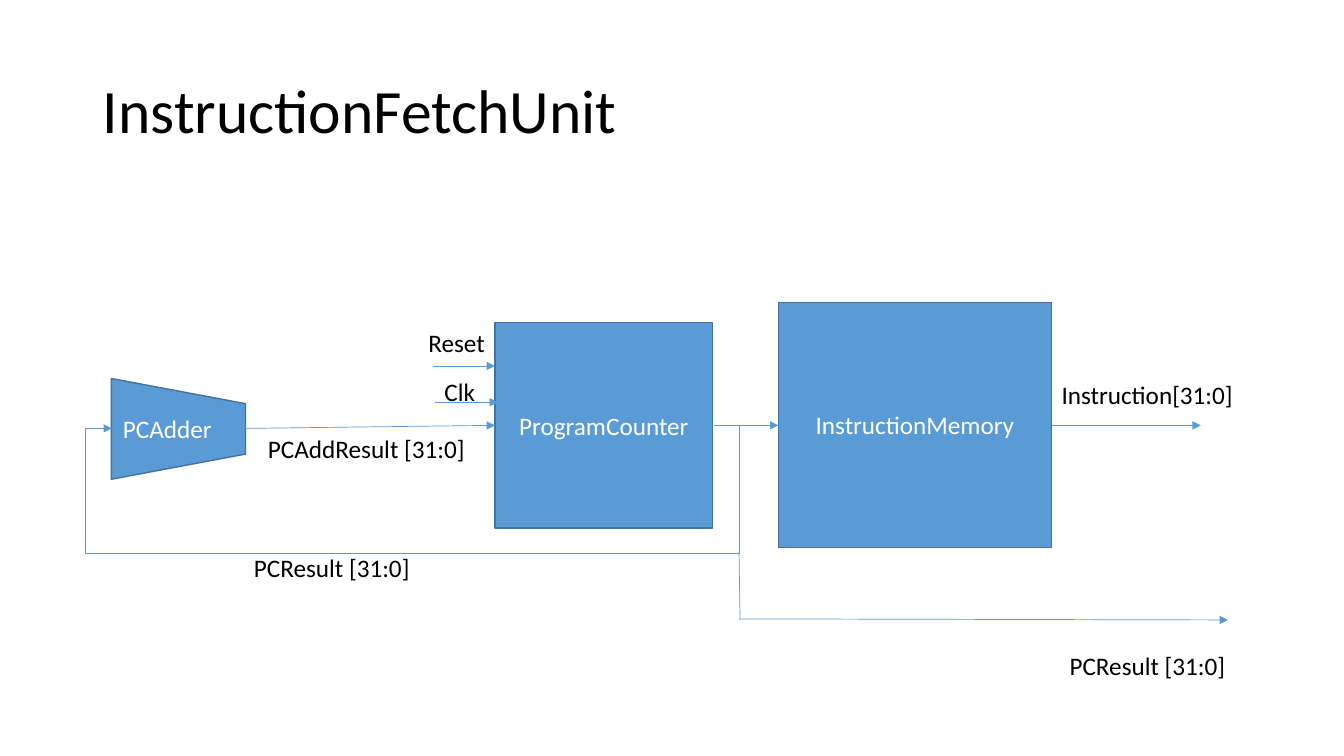
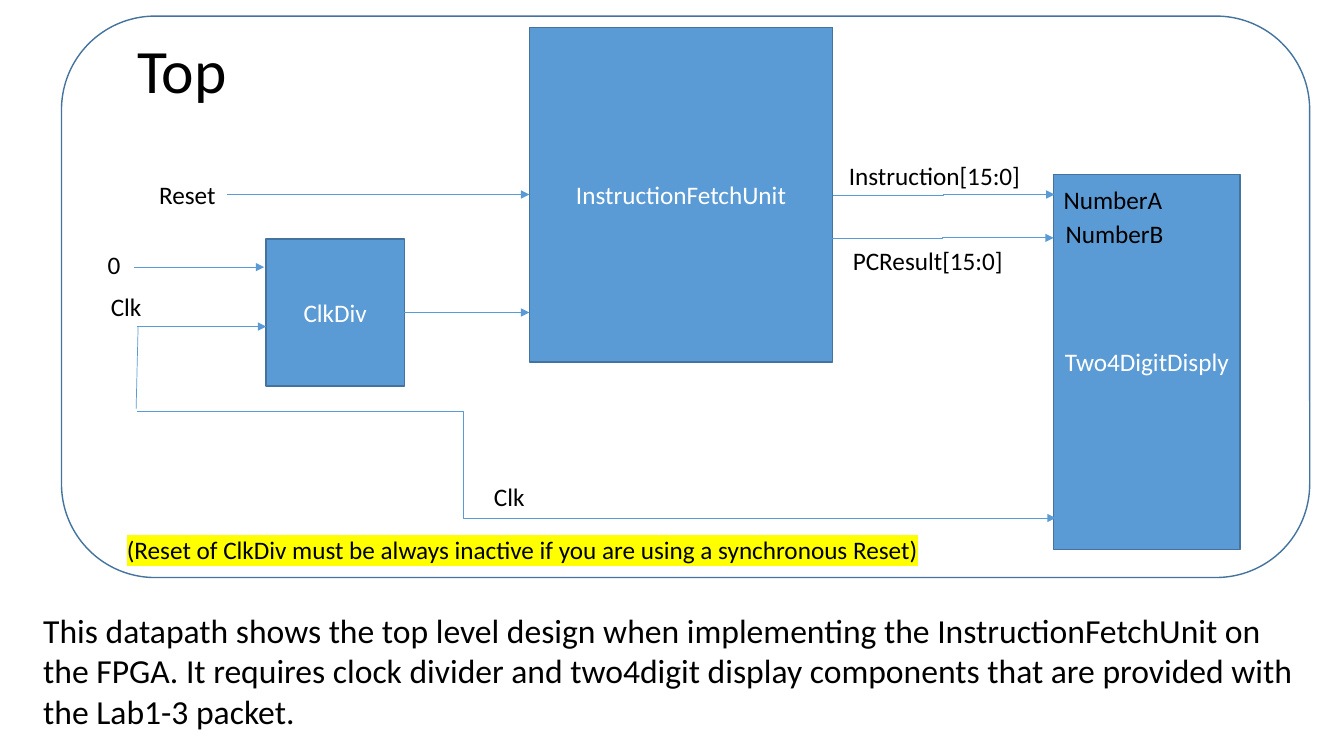
"""Build two datapath slides: the instruction fetch unit and the top-level design."""
from lxml import etree
from pptx import Presentation
from pptx.dml.color import RGBColor
from pptx.enum.shapes import MSO_CONNECTOR, MSO_SHAPE
from pptx.enum.text import MSO_ANCHOR, MSO_AUTO_SIZE, PP_ALIGN
from pptx.oxml.ns import qn
from pptx.util import Inches, Pt

BLOCK_BLUE = RGBColor(0x5B, 0x9B, 0xD5)
EDGE_BLUE = RGBColor(0x43, 0x73, 0x9E)
BLACK = RGBColor(0x00, 0x00, 0x00)
WHITE = RGBColor(0xFF, 0xFF, 0xFF)
HIGHLIGHT = "FFFF00"
FONT = "Calibri"
LEFT, CENTER = PP_ALIGN.LEFT, PP_ALIGN.CENTER
MIDDLE = MSO_ANCHOR.MIDDLE
FIT_SHAPE, NO_FIT = MSO_AUTO_SIZE.SHAPE_TO_FIT_TEXT, MSO_AUTO_SIZE.NONE
STRAIGHT, ELBOW = MSO_CONNECTOR.STRAIGHT, MSO_CONNECTOR.ELBOW
RECTANGLE, TRAPEZOID = MSO_SHAPE.RECTANGLE, MSO_SHAPE.TRAPEZOID
ROUNDED = MSO_SHAPE.ROUNDED_RECTANGLE
LABEL_HEIGHT = 0.4

SLIDES = [
    {
        "title": ("InstructionFetchUnit", 0.92, 0.4),
        "blocks": [
            ("InstructionMemory", RECTANGLE, 7.72, 3, 2.71, 2.43),
            ("PCAdder", TRAPEZOID, 1.27, 3.59, 1, 1.33),
            ("ProgramCounter", RECTANGLE, 4.91, 3.2, 2.16, 2.04),
        ],
        "labels": [
            ("PCResult [31:0]", 2.42, 5.43, 1.76),
            ("Instruction[31:0]", 10.43, 3.71, 1.92),
            ("PCAddResult [31:0]", 2.56, 4.25, 2.17),
            ("Reset", 4.15, 3.2, 0.77),
            ("Clk", 4.31, 3.68, 0.51),
            ("PCResult [31:0]", 10.51, 6.4, 1.76),
        ],
        "wires": [
            (STRAIGHT, 2.44, 4.25, 4.91, 4.22, True),
            (STRAIGHT, 7.08, 4.22, 7.72, 4.22, True),
            (STRAIGHT, 10.43, 4.22, 11.91, 4.22, True),
            (STRAIGHT, 4.29, 3.63, 4.91, 3.63, True),
            (STRAIGHT, 4.31, 3.99, 4.94, 3.99, True),
            (STRAIGHT, 7.33, 6.14, 12.18, 6.15, True),
            (STRAIGHT, 7.33, 5.48, 7.34, 6.15, False),
        ],
    },
    {
        "title": ("Top", 1.26, 0),
        "blocks": [
            ("InstructionFetchUnit", RECTANGLE, 5.25, 0.27, 3.01, 3.32),
            ("ClkDiv", RECTANGLE, 2.64, 2.37, 1.37, 1.46),
            ("Two4DigitDisply", RECTANGLE, 10.45, 1.73, 1.85, 3.72),
        ],
        "labels": [
            ("Clk", 1, 2.84, 0.51),
            ("Reset", 1.48, 1.73, 0.77),
            ("Instruction[15:0]", 8.32, 1.54, 1.92),
            ("NumberA", 10.45, 1.78, 1.19),
            ("NumberB", 10.47, 2.12, 1.18),
            ("PCResult[15:0]", 8.36, 2.38, 1.71),
            ("0", 0.97, 2.42, 0.39),
            ("Clk", 4.8, 4.73, 0.51),
        ],
        "wires": [
            (ELBOW, 8.26, 1.94, 10.46, 1.93, True),
            (ELBOW, 8.25, 2.37, 10.45, 2.36, True),
            (STRAIGHT, 1.36, 3.24, 2.64, 3.24, True),
            (STRAIGHT, 2.25, 1.93, 5.25, 1.93, True),
            (STRAIGHT, 3.97, 3.1, 5.25, 3.1, True),
            (STRAIGHT, 1.33, 2.65, 2.62, 2.65, True),
            (STRAIGHT, 1.37, 3.24, 1.35, 4.06, False),
        ],
    },
]


def write_text(shape, text, size=18, color=BLACK, alignment=LEFT):
    paragraph = shape.text_frame.paragraphs[0]
    paragraph.alignment = alignment
    run = paragraph.add_run()
    run.text = text
    run.font.size = Pt(size)
    run.font.name = FONT
    run.font.color.rgb = color
    return run


def style_wire(wire, arrow=True):
    wire.line.color.rgb = BLOCK_BLUE
    wire.line.width = Pt(0.5)
    properties = wire.element.spPr
    if arrow:
        etree.SubElement(properties.find(qn("a:ln")), qn("a:tailEnd"), type="triangle")
    etree.SubElement(properties, qn("a:effectLst"))


presentation = Presentation()
presentation.slide_width = Inches(13.33)
presentation.slide_height = Inches(7.5)
title_only = presentation.slide_layouts[5]

for content in SLIDES:
    slide = presentation.slides.add_slide(title_only)
    shapes = slide.shapes

    title_text, left, top = content["title"]
    title = shapes.title
    title.left, title.top = Inches(left), Inches(top)
    title.width, title.height = Inches(11.5), Inches(1.45)
    title.text_frame.vertical_anchor = MIDDLE
    title.text_frame.auto_size = NO_FIT
    write_text(title, title_text, 44)
    title.text_frame.paragraphs[0].line_spacing = 0.9

    for text, kind, *box in content["blocks"]:
        block = shapes.add_shape(kind, *map(Inches, box))
        block.shadow.inherit = False
        block.fill.solid()
        block.fill.fore_color.rgb = BLOCK_BLUE
        block.line.color.rgb = EDGE_BLUE
        block.line.width = Pt(1)
        block.text_frame.vertical_anchor = MIDDLE
        write_text(block, text, color=WHITE, alignment=CENTER)
        if kind == TRAPEZOID:
            block.rotation = 90
            block.text_frame._txBody.bodyPr.set("vert", "vert270")

    for kind, *ends, arrow in content["wires"]:
        style_wire(shapes.add_connector(kind, *map(Inches, ends)), arrow)

    for text, *place in content["labels"]:
        label = shapes.add_textbox(*map(Inches, (*place, LABEL_HEIGHT)))
        label.text_frame.word_wrap = False
        label.text_frame.auto_size = FIT_SHAPE
        write_text(label, text)

fetch_slide, top_slide = presentation.slides

feedback_points = [(7.33, 4.22), (7.33, 5.49), (0.85, 5.49), (0.85, 4.25), (1.11, 4.25)]
builder = fetch_slide.shapes.build_freeform(Inches(7.08), Inches(4.22))
builder.add_line_segments([(Inches(x), Inches(y)) for x, y in feedback_points], close=False)
feedback = builder.convert_to_shape()
feedback.fill.background()
style_wire(feedback)

frame = top_slide.shapes.add_shape(ROUNDED, Inches(0.61), Inches(0.16), Inches(12.38), Inches(5.57))
frame.shadow.inherit = False
frame.fill.background()
frame.line.color.rgb = EDGE_BLUE
frame.line.width = Pt(1)

clock_wire = top_slide.shapes.add_connector(
    ELBOW, Inches(1.36), Inches(4.08), Inches(10.47), Inches(5.14)
)
style_wire(clock_wire)
geometry = clock_wire.element.spPr.find(qn("a:prstGeom"))
etree.SubElement(geometry.find(qn("a:avLst")), qn("a:gd"), name="adj1", fmla="val 35500")

note = top_slide.shapes.add_textbox(Inches(1.16), Inches(5.25), Inches(8.14), Inches(LABEL_HEIGHT))
note.text_frame.word_wrap = False
note.text_frame.auto_size = FIT_SHAPE
note_run = write_text(
    note, "(Reset of ClkDiv must be always inactive if you are using a synchronous Reset)"
)
highlight = etree.Element(qn("a:highlight"))
etree.SubElement(highlight, qn("a:srgbClr"), val=HIGHLIGHT)
note_run.font._element.find(qn("a:solidFill")).addnext(highlight)

caption = top_slide.shapes.add_textbox(Inches(0.33), Inches(6), Inches(12.66), Inches(1.31))
caption.text_frame.word_wrap = True
caption.text_frame.auto_size = FIT_SHAPE
write_text(
    caption,
    "This datapath shows the top level design when implementing the InstructionFetchUnit on "
    "the FPGA. It requires clock divider and two4digit display components that are provided "
    "with the Lab1-3 packet.",
    24,
)

presentation.save("out.pptx")
